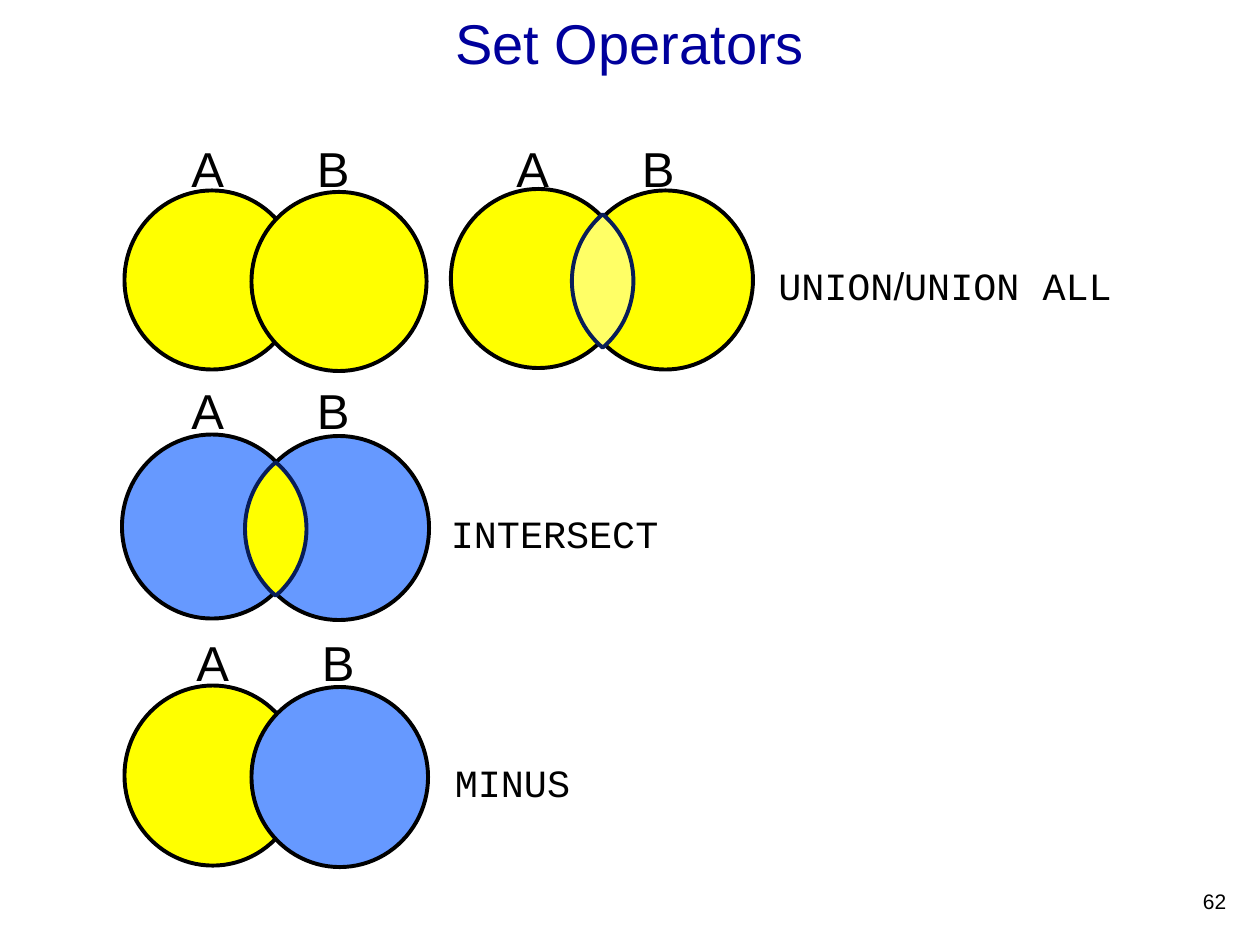
import math
from typing import NamedTuple, Optional

from pptx import Presentation
from pptx.dml.color import RGBColor
from pptx.enum import shapes, text
from pptx.util import Cm, Pt

BLACK = RGBColor(0x00, 0x00, 0x00)
TITLE_BLUE = RGBColor(0x00, 0x00, 0x9C)
YELLOW = RGBColor(0xFF, 0xFF, 0x00)
PALE_YELLOW = RGBColor(0xFF, 0xFF, 0x66)
BLUE = RGBColor(0x66, 0x99, 0xFF)
NAVY = RGBColor(0x08, 0x1D, 0x58)

SANS, MONO = "Arial", "Courier New"
SET_GAP = 2.56      # from circle A to circle B, in cm
LETTER_GAP = 2.53   # from letter A to letter B, in cm
LENS_HEIGHT, LENS_HALF_WIDTH = 2.69, 0.62
ARC_STEPS = 32


class Lens(NamedTuple):
    center_x: float
    top: float
    fill: RGBColor


class Venn(NamedTuple):
    left: float
    top: float
    width: float
    height: float
    fill_a: RGBColor
    fill_b: RGBColor
    letter_left: float
    letter_top: float
    lens: Optional[Lens] = None


class Label(NamedTuple):
    left: float
    top: float
    width: float
    runs: tuple


VENNS = [
    Venn(2.51, 3.84, 3.53, 3.61, YELLOW, YELLOW, 3.61, 2.55),
    Venn(9.09, 3.81, 3.53, 3.61, YELLOW, YELLOW, 10.16, 2.54,
         Lens(12.15, 4.32, PALE_YELLOW)),
    Venn(2.46, 8.76, 3.63, 3.71, BLUE, BLUE, 3.61, 7.42,
         Lens(5.56, 9.32, YELLOW)),
    Venn(2.51, 13.82, 3.56, 3.63, YELLOW, BLUE, 3.71, 12.5),
]
LABELS = [
    Label(15.44, 5.03, 9.4, (("UNION", MONO), ("/", SANS), ("UNION ALL", MONO))),
    Label(8.84, 10.03, 4.74, (("INTERSECT", MONO),)),
    Label(8.92, 15.06, 2.86, (("MINUS", MONO),)),
]


def add_text(s, left: float, top: float, width: float, height: float,
             runs: tuple, size: float, inset_top: float = 0.25):
    tf = s.shapes.add_textbox(Cm(left), Cm(top), Cm(width), Cm(height)).text_frame
    tf.word_wrap = True
    tf.auto_size = text.MSO_AUTO_SIZE.SHAPE_TO_FIT_TEXT
    tf.margin_top = Cm(inset_top)
    p = tf.paragraphs[0]
    p.font.size = Pt(size)
    p.font.color.rgb = BLACK
    for words, font in runs:
        r = p.add_run()
        r.text, r.font.name = words, font
    return p


def style(sp, fill: RGBColor, line: RGBColor) -> None:
    sp.shadow.inherit = False
    sp.fill.solid()
    sp.fill.fore_color.rgb = fill
    sp.line.color.rgb = line
    sp.line.width = Pt(2.25)


def add_lens(s, lens: Lens) -> None:
    """Draw the overlap of two circles as two mirrored arcs."""
    half = LENS_HEIGHT / 2
    radius = (half ** 2 + LENS_HALF_WIDTH ** 2) / (2 * LENS_HALF_WIDTH)
    reach = math.asin(half / radius)
    angles = [reach * (2 * i / ARC_STEPS - 1) for i in range(ARC_STEPS + 1)]
    arc = [(radius * math.cos(a) - radius + LENS_HALF_WIDTH,
            half + radius * math.sin(a)) for a in angles]
    outline = arc + [(-x, y) for x, y in reversed(arc)]
    points = [(Cm(lens.center_x + x), Cm(lens.top + y)) for x, y in outline]
    builder = s.shapes.build_freeform(*points[0])
    builder.add_line_segments(points[1:], close=True)
    style(builder.convert_to_shape(), lens.fill, NAVY)


def add_venn(s, venn: Venn) -> None:
    for i, (letter, fill) in enumerate((("A", venn.fill_a), ("B", venn.fill_b))):
        add_text(s, venn.letter_left + i * LETTER_GAP, venn.letter_top,
                 0.97, 1.02, ((letter, SANS),), 28)
        sp = s.shapes.add_shape(
            shapes.MSO_SHAPE.OVAL, Cm(venn.left + i * SET_GAP),
            Cm(venn.top + i * 0.03), Cm(venn.width), Cm(venn.height))
        style(sp, fill, BLACK)
    if venn.lens:
        add_lens(s, venn.lens)


def add_title(s, words: str) -> None:
    sp = s.shapes.title
    sp.left, sp.top, sp.width, sp.height = Cm(1.9), Cm(0), Cm(21.6), Cm(1.7)
    tf = sp.text_frame
    tf.text = words
    tf.auto_size = text.MSO_AUTO_SIZE.NONE
    tf.vertical_anchor = text.MSO_ANCHOR.MIDDLE
    p = tf.paragraphs[0]
    p.alignment = text.PP_ALIGN.CENTER
    p.font.name, p.font.size = SANS, Pt(32)
    p.font.color.rgb = TITLE_BLUE


def main() -> None:
    prs = Presentation()
    prs.slide_width, prs.slide_height = Cm(25.4), Cm(19.05)
    s = prs.slides.add_slide(prs.slide_layouts[5])
    add_title(s, "Set Operators")
    for venn in VENNS:
        add_venn(s, venn)
    for label in LABELS:
        add_text(s, label.left, label.top, label.width, 1.19, label.runs, 22)
    p = add_text(s, 23.5, 17.78, 1.47, 0.76, (("62", SANS),), 12, 0.13)
    p.alignment = text.PP_ALIGN.RIGHT
    prs.save("out.pptx")


if __name__ == "__main__":
    main()
